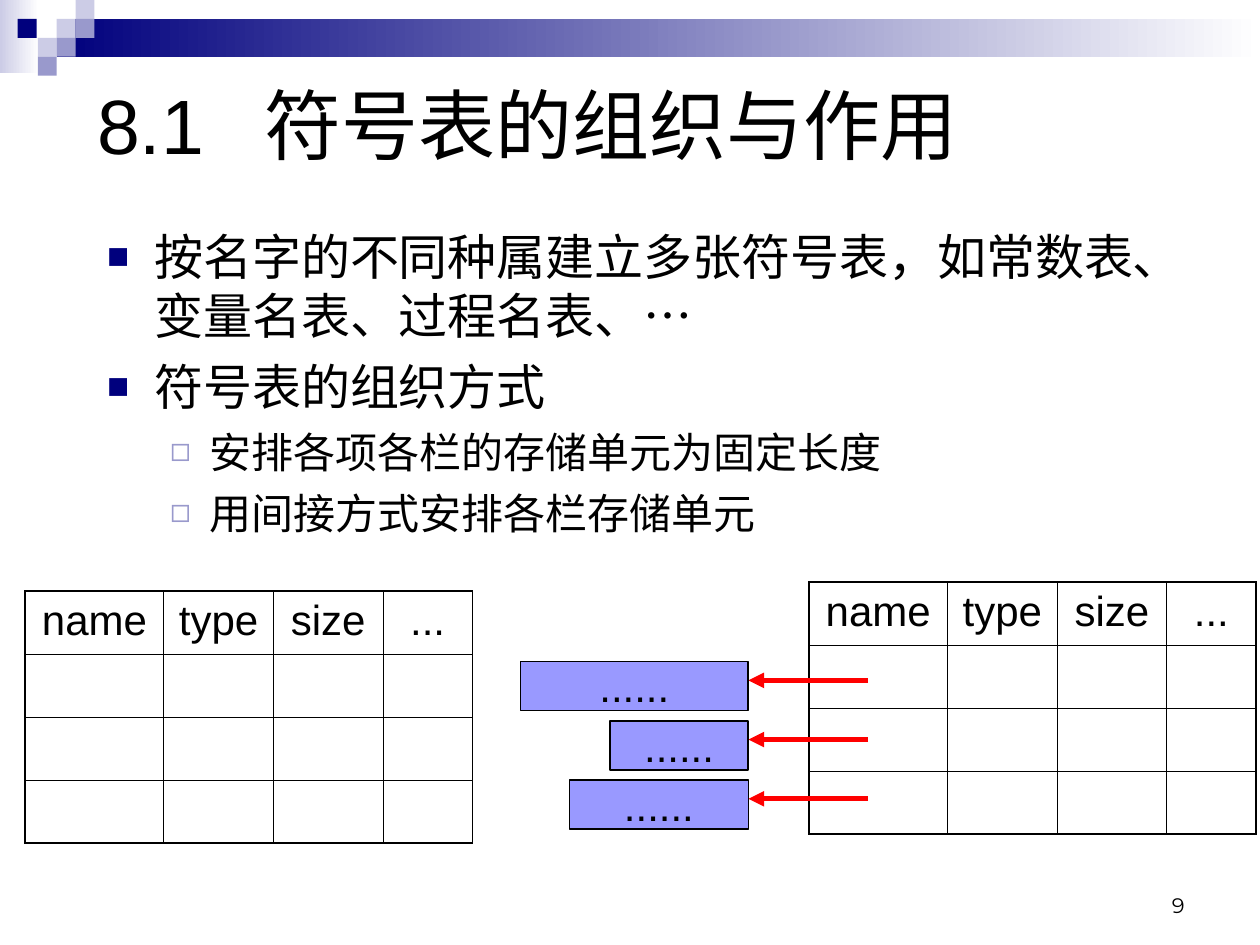
from dataclasses import dataclass

from lxml import etree
from pptx import Presentation
from pptx.dml.color import RGBColor
from pptx.enum.shapes import MSO_CONNECTOR, MSO_SHAPE
from pptx.enum.text import MSO_ANCHOR, MSO_AUTO_SIZE, PP_ALIGN
from pptx.oxml.ns import qn
from pptx.util import Inches, Pt

RECTANGLE = MSO_SHAPE.RECTANGLE
STRAIGHT = MSO_CONNECTOR.STRAIGHT
MIDDLE, BOTTOM = MSO_ANCHOR.MIDDLE, MSO_ANCHOR.BOTTOM
LEFT, CENTER, RIGHT = PP_ALIGN.LEFT, PP_ALIGN.CENTER, PP_ALIGN.RIGHT
NO_AUTOFIT = MSO_AUTO_SIZE.NONE

CELL = Inches(0.1)  # the slide is a grid of 100 columns by 75 rows
COLUMNS, ROWS = 100, 75


@dataclass(frozen=True)
class Theme:
    latin: str = "Arial"
    chinese: str = "Noto Sans CJK SC"
    number_font: str = "Montserrat"
    black: str = "000000"
    white: str = "FFFFFF"
    navy: str = "00007D"
    lavender: str = "9999CC"
    pale: str = "CCCCE6"
    box: str = "9999FF"
    red: str = "FF0000"
    title_size: int = 44
    list_sizes: tuple = (28, 24)
    label_size: int = 24
    number_size: int = 12
    outer_border: float = 1.08
    inner_border: float = 0.45


def grid(*cells):
    return [round(cell * CELL) for cell in cells]


def add_xml(parent, tag, **attributes):
    return etree.SubElement(parent, qn(tag), attributes)


class SlideBuilder:
    def __init__(self, presentation, theme):
        self.theme = theme
        self.slide = presentation.slides.add_slide(presentation.slide_layouts[1])

    def format_paragraph(self, paragraph, size, font, align=LEFT):
        paragraph.alignment = align
        for run in paragraph.runs:
            run.font.size = Pt(size)
            run.font.name = font
            run.font.color.rgb = RGBColor.from_string(self.theme.black)
            add_xml(run.font._element, "a:ea", typeface=self.theme.chinese)

    def place(self, shape, left, top, width, height):
        shape.left, shape.top, shape.width, shape.height = grid(left, top, width, height)
        shape.text_frame.auto_size = NO_AUTOFIT

    def title(self, text, area, tab):
        shape = self.slide.shapes.title
        self.place(shape, *area)
        shape.text_frame.text = text
        shape.text_frame.vertical_anchor = MIDDLE
        paragraph = shape.text_frame.paragraphs[0]
        tabs = add_xml(paragraph._p.get_or_add_pPr(), "a:tabLst")
        add_xml(tabs, "a:tab", pos=str(grid(tab)[0]), algn="l")
        self.format_paragraph(paragraph, self.theme.title_size, self.theme.latin)

    def bullet_list(self, items, area):
        # Per level: text indent, hanging indent, space before, bullet, colour, size
        levels = (
            (3.75, 3.75, 7, "■", self.theme.navy, "75000"),
            (8.12, 3.12, 6, "◻", self.theme.lavender, "80000"),
        )
        shape = self.slide.placeholders[1]
        self.place(shape, *area)
        frame = shape.text_frame
        frame.text = "\n".join(text for _, text in items)
        for index, (paragraph, (level, _)) in enumerate(zip(frame.paragraphs, items)):
            indent, hanging, space, bullet, color, bullet_size = levels[level]
            paragraph.level = level
            properties = paragraph._p.get_or_add_pPr()
            properties.set("marL", str(grid(indent)[0]))
            properties.set("indent", str(-grid(hanging)[0]))
            add_xml(add_xml(properties, "a:buClr"), "a:srgbClr", val=color)
            add_xml(properties, "a:buSzPct", val=bullet_size)
            add_xml(properties, "a:buChar", char=bullet)
            paragraph.space_before = Pt(space if index else 0)
            self.format_paragraph(paragraph, self.theme.list_sizes[level], self.theme.chinese)

    def rectangle(self, area, color, fade_to=None):
        shape = self.slide.shapes.add_shape(RECTANGLE, *grid(*area))
        shape.shadow.inherit = False
        shape.line.fill.background()
        if fade_to:
            shape.fill.gradient()
            shape.fill.gradient_angle = 0
            for stop, stop_color in zip(shape.fill.gradient_stops, (color, fade_to)):
                stop.color.rgb = RGBColor.from_string(stop_color)
        else:
            shape.fill.solid()
            shape.fill.fore_color.rgb = RGBColor.from_string(color)
        return shape

    def labelled_box(self, text, area):
        shape = self.rectangle(area, self.theme.box)
        shape.line.color.rgb = RGBColor.from_string(self.theme.black)
        shape.line.width = Pt(1)
        frame = shape.text_frame
        frame.text = text
        frame.word_wrap = False
        frame.vertical_anchor = MIDDLE
        self.format_paragraph(frame.paragraphs[0], self.theme.label_size, self.theme.latin, CENTER)

    def arrow(self, start, end):
        connector = self.slide.shapes.add_connector(STRAIGHT, *grid(*start, *end))
        connector.line.color.rgb = RGBColor.from_string(self.theme.red)
        connector.line.width = Pt(3)
        add_xml(connector.line._get_or_add_ln(), "a:tailEnd", type="triangle")
        add_xml(connector._element.spPr, "a:effectLst")

    def border(self, cell, side, width):
        line = add_xml(cell._tc.get_or_add_tcPr(), f"a:{side}", w=str(Pt(width)))
        add_xml(add_xml(line, "a:solidFill"), "a:srgbClr", val=self.theme.black)

    def table(self, headers, left, top, widths, row_count, row_height):
        area = grid(left, top, sum(widths), row_count * row_height)
        table = self.slide.shapes.add_table(row_count, len(headers), *area).table
        table.first_row = table.horz_banding = False
        for column, width in zip(table.columns, widths):
            column.width = grid(width)[0]
        for column, header in enumerate(headers):
            table.cell(0, column).text_frame.text = header
        for row in range(row_count):
            for column in range(len(headers)):
                cell = table.cell(row, column)
                on_edge = {
                    "lnL": column == 0,
                    "lnR": column == len(headers) - 1,
                    "lnT": row == 0,
                    "lnB": row == row_count - 1,
                }
                for side, outer in on_edge.items():
                    width = self.theme.outer_border if outer else self.theme.inner_border
                    self.border(cell, side, width)
                cell.fill.background()
                self.format_paragraph(cell.text_frame.paragraphs[0],
                                      self.theme.label_size, self.theme.latin, CENTER)

    def page_number(self, text, area):
        frame = self.slide.shapes.add_textbox(*grid(*area)).text_frame
        frame.text = text
        frame.word_wrap = True
        frame.vertical_anchor = BOTTOM
        self.format_paragraph(frame.paragraphs[0], self.theme.number_size,
                              self.theme.number_font, RIGHT)


def main():
    presentation = Presentation()
    presentation.slide_width, presentation.slide_height = grid(COLUMNS, ROWS)
    theme = Theme()
    builder = SlideBuilder(presentation, theme)

    # Header band and its small squares
    builder.rectangle((0, 0, 3.1, 5.8), theme.pale, theme.white)
    builder.rectangle((4.5, 1.5, 95.5, 3), theme.navy, theme.white)
    squares = ((4.5, 1.5, theme.pale), (6, 0, theme.pale), (6, 1.5, theme.lavender),
               (3, 3, theme.pale), (1.4, 1.5, theme.navy), (4.5, 3, theme.lavender),
               (3, 4.5, theme.lavender))
    for left, top, color in squares:
        builder.rectangle((left, top, 1.5, 1.5), color)

    # Title, list and page number
    builder.page_number("9", (71.7, 68.3, 23.3, 5))
    builder.bullet_list((
        (0, "按名字的不同种属建立多张符号表，如常数表、变量名表、过程名表、…"),
        (0, "符号表的组织方式"),
        (1, "安排各项各栏的存储单元为固定长度"),
        (1, "用间接方式安排各栏存储单元"),
    ), (7.5, 17.5, 89.2, 49.2))
    builder.title("8.1\t符号表的组织与作用", (6.7, 5.2, 85, 9.2), tab=13.3)

    # Symbol tables: fixed-length fields, then indirect fields
    for left, top in ((2, 46.9), (64.2, 46.2)):
        builder.table(("name", "type", "size", "..."), left, top, (11, 8.7, 8.7, 7.1), 4, 5)

    # Storage cells reached by pointers from the second table
    box_right, first_top, pitch = 59.4, 52.5, 4.7
    for index, width in enumerate((18.1, 11, 14.2)):
        top = first_top + index * pitch
        builder.arrow((68.9, top + 1.5), (box_right, top + 1.5))
        builder.labelled_box("......", (box_right - width, top, width, 3.9))

    presentation.save("out.pptx")


if __name__ == "__main__":
    main()
